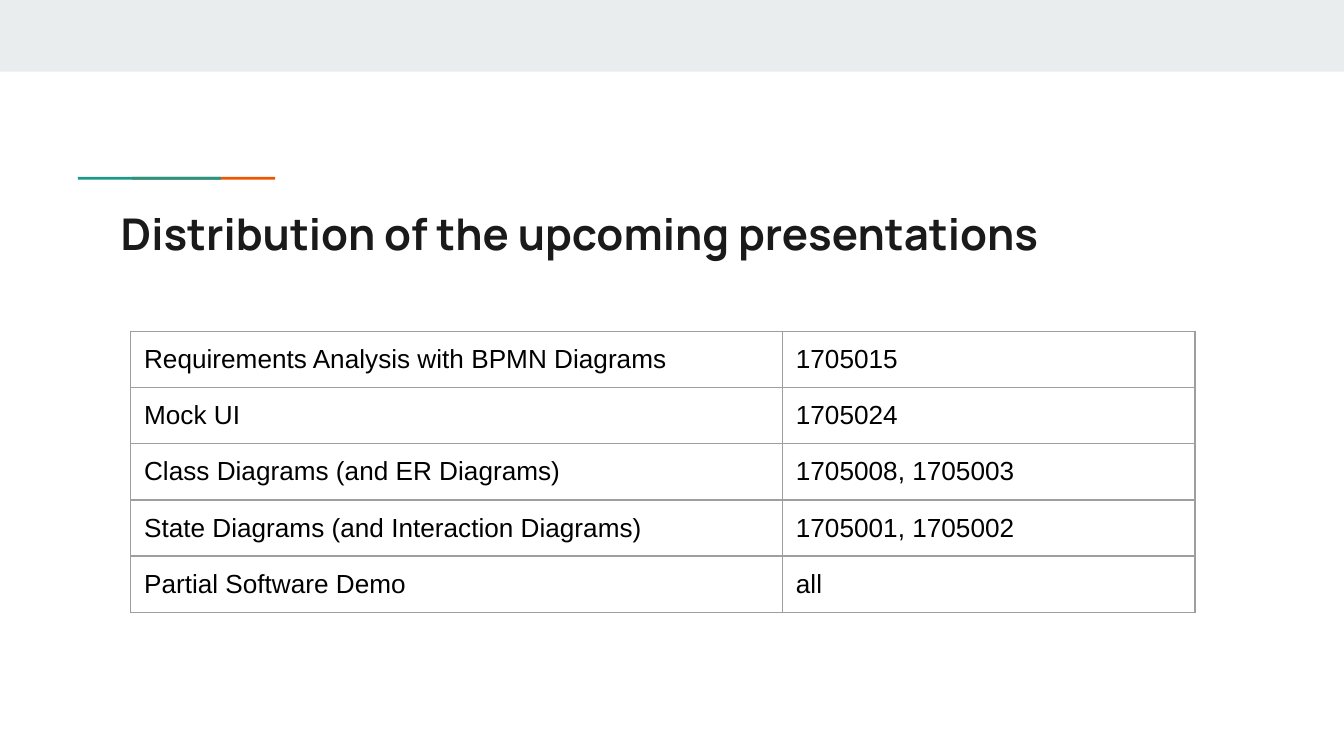
"""Build a slide that lists who gives each upcoming presentation."""
from lxml.etree import SubElement
from pptx import Presentation
from pptx.dml.color import RGBColor as Rgb
from pptx.enum.shapes import MSO_SHAPE as Shape
from pptx.enum.text import MSO_ANCHOR as Anchor
from pptx.oxml.ns import qn
from pptx.util import Pt

TITLE = "Distribution of the upcoming presentations"
ASSIGNMENTS = [
    ("Requirements Analysis with BPMN Diagrams", "1705015"),
    ("Mock UI", "1705024"),
    ("Class Diagrams (and ER Diagrams)", "1705008, 1705003"),
    ("State Diagrams (and Interaction Diagrams)", "1705001, 1705002"),
    ("Partial Software Demo", "all"),
]
COLORS = {
    "band": "E9EDEE", "orange": "EB5600", "green": "1A9988",
    "title": "1A1A1A", "text": "000000", "border": "9E9E9E",
}
BARS = [
    ("band", 0, 0, 720, 38.4),
    ("orange", 70.8, 94.8, 76.6, 1.5),
    ("green", 41.8, 94.8, 76.6, 1.5),
]
TITLE_BOX = (57.6, 103.7, 605.5, 42.5)
TABLE_LEFT, TABLE_TOP, ROW_HEIGHT = 70, 177.6, 30.1
COLUMN_WIDTHS = (349.2, 221)
TITLE_FONT = {"name": "Manrope", "size": Pt(23.4), "bold": True}
CELL_FONT = {"name": "Arial", "size": Pt(14), "bold": False}
MARGINS = {f"margin_{side}": Pt(7.2) for side in ("left", "top", "right", "bottom")}
CELL_MARGINS = MARGINS | {"margin_bottom": Pt(6)}


def apply(target, values):
    for name, value in values.items():
        setattr(target, name, value)


def write(paragraph, wording, font, color):
    run = paragraph.add_run()
    run.text = wording
    apply(run.font, font)
    run.font.color.rgb = Rgb.from_string(COLORS[color])


def add_borders(cell):
    properties = cell._tc.get_or_add_tcPr()
    for edge in ("a:lnL", "a:lnR", "a:lnT", "a:lnB"):
        border = SubElement(properties, qn(edge), w=str(Pt(0.75)))
        fill = SubElement(border, qn("a:solidFill"))
        SubElement(fill, qn("a:srgbClr"), val=COLORS["border"])


def add_bars(slide):
    for color, *place in BARS:
        bar = slide.shapes.add_shape(Shape.RECTANGLE, *map(Pt, place))
        bar.shadow.inherit = False
        bar.fill.solid()
        bar.fill.fore_color.rgb = Rgb.from_string(COLORS[color])
        bar.line.fill.background()


def add_title(slide):
    frame = slide.shapes.add_textbox(*map(Pt, TITLE_BOX)).text_frame
    apply(frame, MARGINS | {"word_wrap": True, "vertical_anchor": Anchor.MIDDLE})
    write(frame.paragraphs[0], TITLE, TITLE_FONT, "title")


def add_assignments(slide):
    size = (sum(COLUMN_WIDTHS), ROW_HEIGHT * len(ASSIGNMENTS))
    table = slide.shapes.add_table(
        len(ASSIGNMENTS), len(COLUMN_WIDTHS), *map(Pt, (TABLE_LEFT, TABLE_TOP, *size))
    ).table
    apply(table, {"first_row": False, "horz_banding": False})
    for column, width in zip(table.columns, COLUMN_WIDTHS):
        column.width = Pt(width)
    for row, assignment in zip(table.rows, ASSIGNMENTS):
        row.height = Pt(ROW_HEIGHT)
        for cell, wording in zip(row.cells, assignment):
            apply(cell, CELL_MARGINS)
            add_borders(cell)
            cell.fill.background()
            write(cell.text_frame.paragraphs[0], wording, CELL_FONT, "text")


def main():
    deck = Presentation()
    apply(deck, {"slide_width": Pt(720), "slide_height": Pt(405)})
    slide = deck.slides.add_slide(deck.slide_layouts[6])
    add_bars(slide)
    add_title(slide)
    add_assignments(slide)
    deck.save("out.pptx")


if __name__ == "__main__":
    main()
